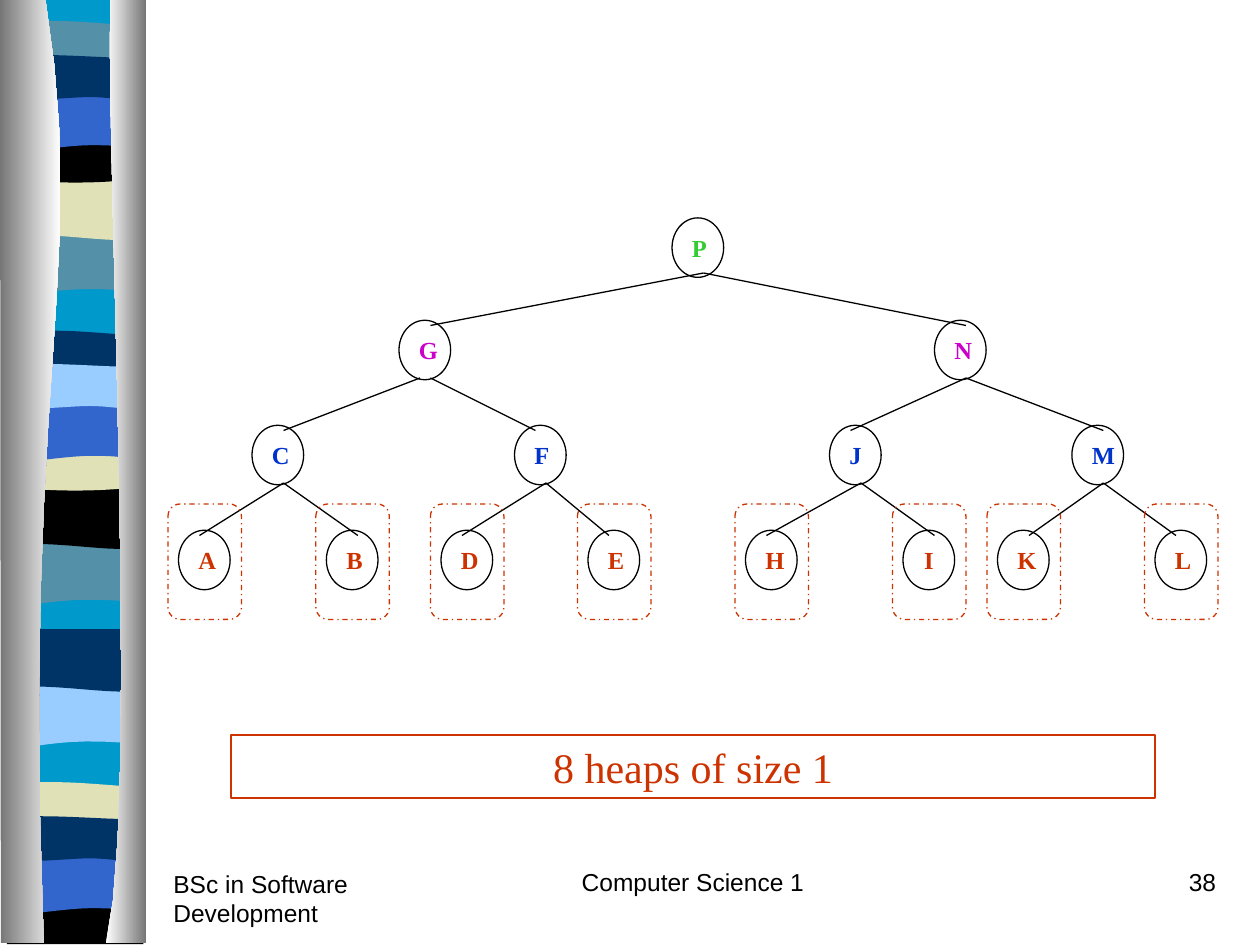
from lxml.etree import SubElement
from pptx import Presentation
from pptx.dml.color import RGBColor
from pptx.enum.dml import MSO_LINE_DASH_STYLE as DASH
from pptx.enum.shapes import MSO_CONNECTOR as CONN, MSO_SHAPE as SHAPE
from pptx.enum.text import MSO_ANCHOR as ANCHOR, PP_ALIGN as ALIGN
from pptx.oxml.ns import qn
from pptx.util import Pt

SERIF, SANS = "Times New Roman", "Arial"
BLACK, RED, BLUE, PURPLE, GREEN = "000000", "CC3300", "0033CC", "CC00CC", "33CC33"
NAVY, ROYAL, SKY, CYAN, TEAL, SAND = "003366", "3366CC", "99CCFF", "0099CC", "5490A8", "E1E1B7"
GREY, WHITE = "767676", "FFFFFF"


def rgb(value):
    return RGBColor.from_string(value)


def outline(steps):
    """Turn points and curve steps (two controls and an end) into points."""
    points = []
    for step in steps:
        if len(step) == 2:
            points.append(step)
            continue
        curve = [points[-1], *step]
        for i in range(1, 13):
            t = i / 12
            weights = ((1 - t) ** 3, 3 * t * (1 - t) ** 2, 3 * t * t * (1 - t), t ** 3)
            points.append(tuple(sum(w * c[axis] for w, c in zip(weights, curve)) for axis in (0, 1)))
    return points


class Deck:
    """Holds the style and the current slide; lengths are in points."""

    def __init__(self, width, height):
        self.prs = Presentation()
        self.prs.slide_width, self.prs.slide_height = Pt(width), Pt(height)
        self.s = self.prs.slides.add_slide(self.prs.slide_layouts[6])
        self.line_width = Pt(0.75)

    def label(self, sp, text, color, size, font=SERIF, bold=False, align=ALIGN.CENTER, anchor=ANCHOR.MIDDLE):
        tf = sp.text_frame
        tf.word_wrap, tf.vertical_anchor = True, anchor
        p = tf.paragraphs[0]
        p.alignment = align
        r = p.add_run()
        r.text = text
        for name, value in {"name": font, "size": Pt(size), "bold": bold}.items():
            setattr(r.font, name, value)
        r.font.color.rgb = rgb(color)

    def shape(self, kind, x, y, w, h, line=None, fill=None, dash=None):
        sp = self.s.shapes.add_shape(kind, Pt(x), Pt(y), Pt(w), Pt(h))
        sp.shadow.inherit = False
        if fill:
            sp.fill.solid()
            sp.fill.fore_color.rgb = rgb(fill)
        else:
            sp.fill.background()
        if line:
            sp.line.color.rgb, sp.line.width = rgb(line), self.line_width
            sp.line.dash_style = dash
        else:
            sp.line.fill.background()
        return sp

    def freeform(self, steps, colors, x=0, y=0):
        """One colour gives a solid fill, two a gradient from left to right."""
        points = [(Pt(x + px), Pt(y + py)) for px, py in outline(steps)]
        builder = self.s.shapes.build_freeform(*points[0])
        builder.add_line_segments(points[1:], close=True)
        sp = builder.convert_to_shape()
        sp.shadow.inherit = False
        sp.line.fill.background()
        if len(colors) == 1:
            sp.fill.solid()
            sp.fill.fore_color.rgb = rgb(colors[0])
        else:
            sp.fill.gradient()
            sp.fill.gradient_angle = 0
            for stop, color in zip(sp.fill.gradient_stops, colors):
                stop.color.rgb = rgb(color)

    def line(self, x1, y1, x2, y2):
        cxn = self.s.shapes.add_connector(CONN.STRAIGHT, Pt(x1), Pt(y1), Pt(x2), Pt(y2))
        cxn.line.color.rgb, cxn.line.width = rgb(BLACK), self.line_width
        SubElement(cxn._element.spPr, qn("a:effectLst"))

    def footer(self, text, x, y, w, align):
        sp = self.s.shapes.add_textbox(Pt(x), Pt(y), Pt(w), Pt(36))
        self.label(sp, text, BLACK, 14, font=SANS, align=align, anchor=ANCHOR.TOP)


# Outlines of the ribbon bands, relative to their top left corner
BANDS = {
    "wave": [(78, 0), (78, 34), ((24, 28), (13, 39.5), (0, 34)), (0, 0)],
    "swell": [(78, 0), (78, 34), ((65, 39.5), (24, 29.5), (0, 34)), (0, 0)],
    "lens": [(78, 3.5), (78, 21), ((65, 24), (13, 24), (0, 21)), (0, 3.5),
             ((4.5, 0), (16.5, 0.5), (29.5, 0.5)), ((42.5, 0.5), (68, 3), (78, 3.5))],
    "sag": [(78, 0), (78, 23), ((65, 27.5), (13, 27.5), (0, 23)), (0, 0), ((47.5, 3.5), (61, 0), (78, 0))],
    "foot": [(78, 0), (78, 27), (0, 27), (0, 0), ((47.5, 3.5), (61, 0), (78, 0))],
    "arch": [(78, 0), (78, 34), ((65.5, 30), (60.5, 30), (47.5, 30)),
             ((34.5, 30), (11.5, 34), (0, 34)), (0, 0)],
    "dip": [(78, 3.5), (78, 26), ((73, 29.5), (60.5, 26), (47.5, 26)),
            ((34.5, 26), (8, 29.5), (0, 26)), (0, 3.5), ((11, 0), (52.5, 3.5), (65.5, 3.5))],
}
# Top, outline and colour of each band, back to front
RIBBON = [
    (133, "wave", TEAL), (101.5, "swell", SAND), (11.5, "lens", TEAL), (78, "sag", BLACK),
    (53, "arch", ROYAL), (29.5, "dip", NAVY),
    (310.5, "wave", TEAL), (278, "swell", BLACK), (188.5, "lens", NAVY), (254, "sag", SAND),
    (230.5, "arch", ROYAL), (206, "dip", SKY),
    (391.5, "wave", SKY), (359.5, "swell", NAVY), (446.5, "lens", SAND), (512.5, "foot", BLACK),
    (489, "arch", ROYAL), (464.5, "dip", NAVY),
]
# Top and colour of each tree level, with letter, left edge and line offset of its nodes
LEVELS = [
    (124.5, GREEN, [("P", 384, 18)]),
    (183, PURPLE, [("G", 228, 18), ("N", 534, 18)]),
    (243, BLUE, [("C", 144, 18), ("F", 294, 12), ("J", 474, 12), ("M", 612.5, 18)]),
    (303, RED, [("A", 102, 12), ("B", 186.5, 18), ("D", 252, 12), ("E", 336, 12),
                ("H", 426, 12), ("I", 516, 18), ("K", 570, 18), ("L", 660, 12)]),
]


def main():
    deck = Deck(720, 540)

    # Striped ribbon between two silver edges
    deck.shape(SHAPE.RECTANGLE, 4, 0, 78, 538, fill=CYAN)
    for top, kind, color in RIBBON:
        deck.freeform(BANDS[kind], [color], 4, top)
    deck.freeform([(26, 0), ((51, 156), (12, 213), (25, 539)), (0.5, 539), (0, 0)], [GREY, WHITE])
    deck.freeform([(63, 0), ((60.5, 90), (80, 465), (60.5, 539)), (83.5, 539), (83.5, 0)], [WHITE, GREY])

    # Tree nodes
    for top, color, nodes in LEVELS:
        for letter, left, _ in nodes:
            sp = deck.shape(SHAPE.OVAL, left, top, 29.5, 34, line=BLACK)
            deck.label(sp, letter, color, 14, bold=True)

    # Branches from each parent to its two children
    for (_, _, parents), (top, _, children) in zip(LEVELS, LEVELS[1:]):
        for i, (letter, left, offset) in enumerate(children):
            start = parents[i // 2][1] + (12 if letter == "C" else 18)
            deck.line(start, top - 27, left + offset, top + 3)

    # Caption
    sp = deck.shape(SHAPE.RECTANGLE, 132, 420, 528, 36, line=RED)
    deck.label(sp, "8 heaps of size 1", RED, 24)

    # Dashed frames around the heaps of size 1
    for _, left, _ in LEVELS[-1][2]:
        deck.shape(SHAPE.ROUNDED_RECTANGLE, left - 6, 288, 42, 66, line=RED, dash=DASH.DASH_DOT)

    # Footers
    deck.footer("Computer Science 1", 282, 492, 228, ALIGN.CENTER)
    deck.footer("38", 552, 492, 150, ALIGN.RIGHT)
    deck.footer("BSc in Software Development", 92, 493, 150, ALIGN.LEFT)

    deck.prs.save("out.pptx")


if __name__ == "__main__":
    main()
